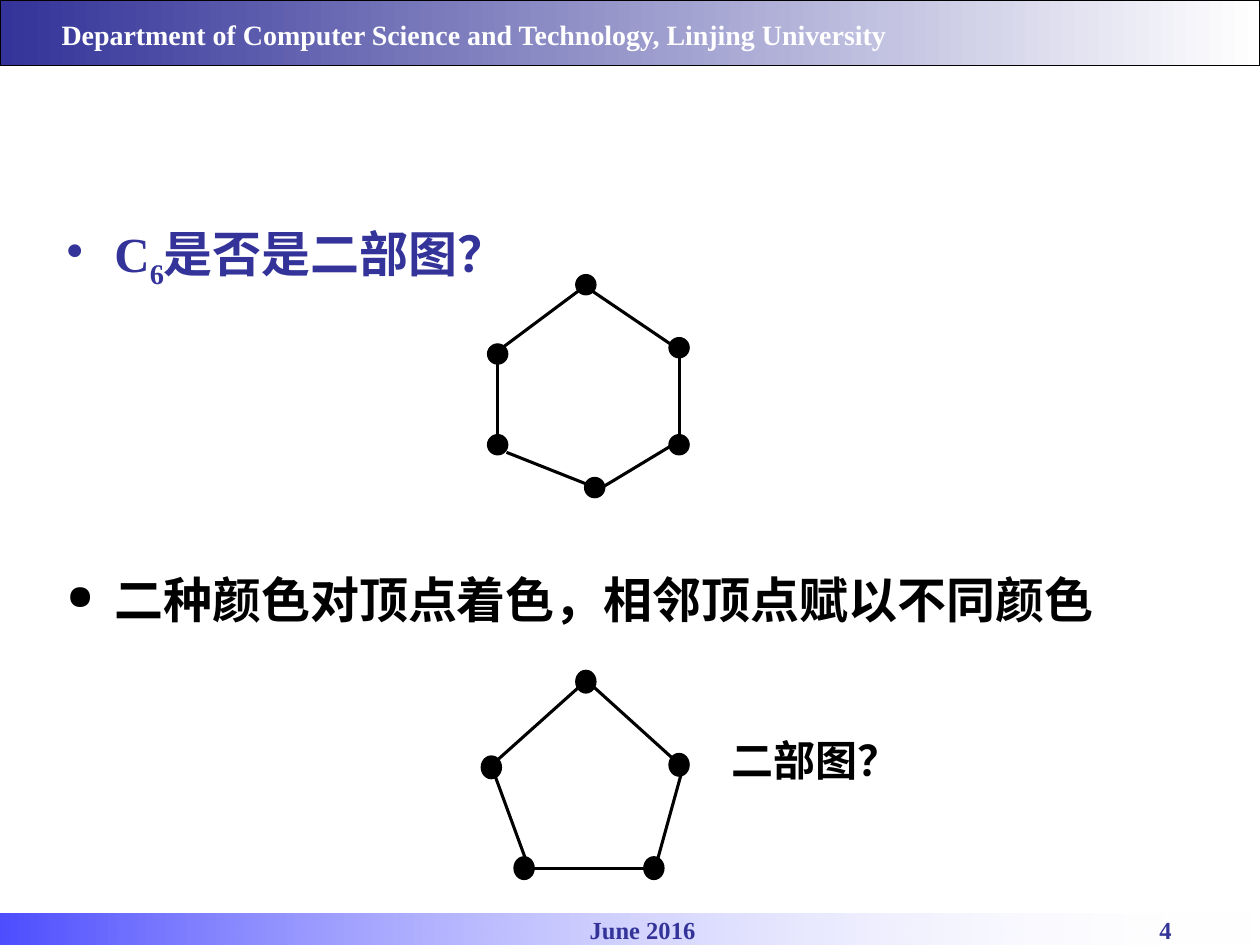
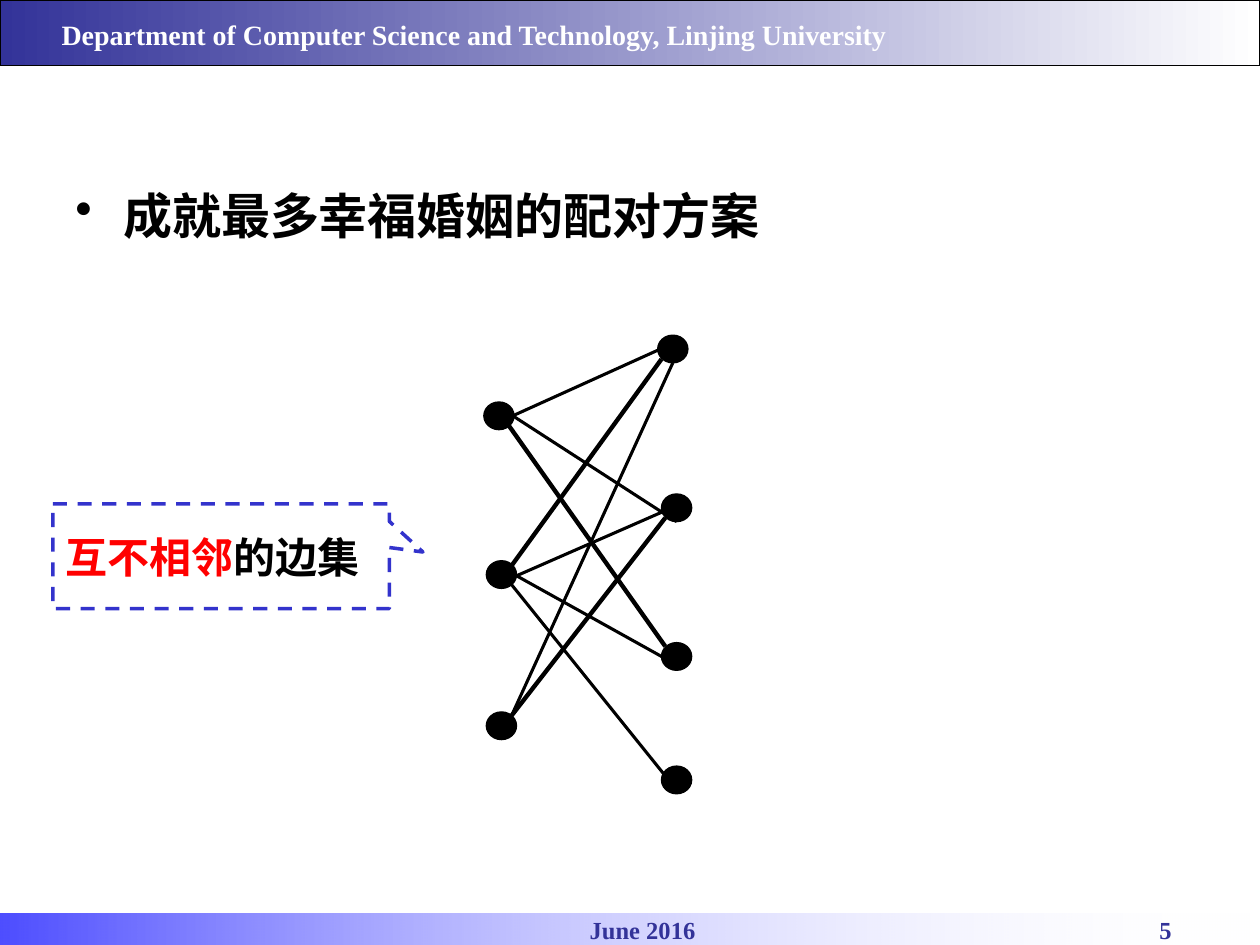
"""Build two slides on bipartite graphs and matchings."""
import pptx
import pptx.dml.color
import pptx.enum.dml
import pptx.enum.shapes
import pptx.enum.text
import pptx.oxml
import pptx.oxml.ns
import pptx.util

Inches = pptx.util.Inches
Pt = pptx.util.Pt
Shape = pptx.enum.shapes.MSO_SHAPE
Align = pptx.enum.text.PP_ALIGN
Anchor = pptx.enum.text.MSO_ANCHOR

FONT = "Times New Roman"
COLOURS = {
    "navy": "333399",
    "blue": "0000FF",
    "callout": "3333CC",
    "red": "FF0000",
    "black": "000000",
    "white": "FFFFFF",
}
THIN, THICK = 1.75, 2.5

HEXAGON_NODES = [(4.65, 2.26), (3.95, 2.81), (3.95, 3.53),
                 (4.72, 3.87), (5.39, 3.53), (5.39, 2.76)]
HEXAGON_EDGES = [((4.02, 3.59), (4.65, 3.84)), ((4, 2.75), (4.59, 2.31)),
                 ((4.7, 2.31), (5.35, 2.75)), ((3.95, 2.82), (3.95, 3.45)),
                 ((5.39, 2.82), (5.39, 3.45)), ((4.76, 3.88), (5.44, 3.47))]
PENTAGON_NODES = [(4.65, 5.41), (3.9, 6.09), (4.16, 6.89),
                  (5.19, 6.89), (5.39, 6.07)]
PENTAGON_EDGES = [((4.24, 6.89), (5.11, 6.89)), ((3.95, 6.03), (4.71, 5.35)),
                  ((4.71, 5.45), (5.34, 6.02)), ((5.2, 6.89), (5.41, 6.13)),
                  ((3.93, 6.16), (4.22, 6.95))]
COUPLE_NODES = [(3.96, 3.3), (3.98, 4.56), (3.98, 5.76),
                (5.34, 2.77), (5.37, 4.03), (5.37, 5.21), (5.37, 6.19)]
POSSIBLE_EDGES = [((5.34, 2.88), (4.06, 5.68)), ((4.1, 4.57), (5.25, 5.21)),
                  ((5.22, 2.78), (4.07, 3.3)), ((5.31, 4.04), (4.1, 4.57)),
                  ((5.29, 6.17), (4.06, 4.64)), ((4.07, 3.3), (5.37, 4.14))]
MATCHED_EDGES = [((5.25, 2.85), (4.06, 4.49)), ((5.28, 4.11), (4.06, 5.68)),
                 ((5.28, 5.13), (4.04, 3.38))]


def rgb(name):
    """Return a named colour."""
    return pptx.dml.color.RGBColor.from_string(COLOURS[name])


def add_span(para, text, size, colour, baseline=0):
    """Add one bold run, lowered when a baseline is given."""
    span = para.add_run()
    span.text = text
    span.font.name = FONT
    span.font.size = Pt(size)
    span.font.bold = True
    span.font.color.rgb = rgb(colour)
    if baseline:
        span.font._element.set("baseline", str(baseline * 1000))


def add_text(page, place, spans, align=Align.LEFT, spacing=1.0):
    """Add a wrapped text box of one paragraph and return the paragraph."""
    box = page.shapes.add_textbox(*map(Inches, place))
    box.text_frame.word_wrap = True
    para = box.text_frame.paragraphs[0]
    para.alignment = align
    para.line_spacing = spacing
    for span in spans:
        add_span(para, *span)
    return para


def add_bullet(page, place, spans, mark="•", scale=100, spacing=1.0):
    """Add a text box with a hanging bullet."""
    para = add_text(page, place, spans, spacing=spacing)
    para.space_before = Pt(5.6)
    properties = para._p.get_or_add_pPr()
    properties.set("marL", str(Inches(0.38)))
    properties.set("indent", str(Inches(-0.38)))
    size = pptx.oxml.parse_xml(
        f'<a:buSzPct {pptx.oxml.ns.nsdecls("a")} val="{scale * 1000}"/>')
    bullet = pptx.oxml.parse_xml(
        f'<a:buChar {pptx.oxml.ns.nsdecls("a")} char="{mark}"/>')
    properties.extend([size, bullet])


def add_band(page, place, start, opacities=None, outlined=False):
    """Add a band fading from a colour on the left to white."""
    band = page.shapes.add_shape(Shape.RECTANGLE, *map(Inches, place))
    band.shadow.inherit = False
    band.fill.gradient()
    band.fill.gradient_angle = 0
    stops = band.fill.gradient_stops
    for stop, colour in zip(stops, (start, "white")):
        stop.color.rgb = rgb(colour)
    if opacities:
        for node, opacity in zip(band._element.spPr.iter(
                pptx.oxml.ns.qn("a:srgbClr")), opacities):
            node.append(pptx.oxml.parse_xml(
                f'<a:alpha {pptx.oxml.ns.nsdecls("a")} val="{opacity * 1000}"/>'))
    if outlined:
        band.line.color.rgb = rgb("black")
        band.line.width = Pt(0.75)
    else:
        band.line.fill.background()


def add_page(deck, number):
    """Add a blank page with the shared header and footer."""
    page = deck.slides.add_slide(deck.slide_layouts[6])
    add_band(page, (0, 0, 10, 0.52), "navy", outlined=True)
    add_band(page, (0, 7.25, 10, 0.25), "blue", opacities=(70, 0))
    for centre, text in ((5.1, "June 2016"), (9.25, str(number))):
        add_text(page, (centre - 0.7, 7.21, 1.4, 0.33),
                 [(text, 14, "navy")], Align.CENTER)
    add_text(page, (0.39, 0.12, 7.08, 0.35),
             [("Department of Computer Science and Technology, "
               "Linjing University", 16, "white")], spacing=0.9)
    return page


def add_nodes(page, centres, width, height):
    """Add a black dot around each centre."""
    for x, y in centres:
        node = page.shapes.add_shape(
            Shape.FLOWCHART_CONNECTOR, Inches(x - width / 2),
            Inches(y - height / 2), Inches(width), Inches(height))
        node.shadow.inherit = False
        node.fill.solid()
        node.fill.fore_color.rgb = rgb("black")
        node.line.color.rgb = rgb("black")
        node.line.width = Pt(0.75)


def add_edges(page, edges, weight=THIN):
    """Add a straight black line for each pair of points."""
    for start, end in edges:
        edge = page.shapes.add_connector(
            pptx.enum.shapes.MSO_CONNECTOR.STRAIGHT,
            *map(Inches, (*start, *end)))
        edge.line.color.rgb = rgb("black")
        edge.line.width = Pt(weight)
        edge._element.spPr.append(pptx.oxml.parse_xml(
            f'<a:effectLst {pptx.oxml.ns.nsdecls("a")}/>'))


def add_callout(page, place, tip, spans):
    """Add a dashed callout pointing at its tip."""
    callout = page.shapes.add_shape(
        Shape.RECTANGULAR_CALLOUT, *map(Inches, place))
    callout.shadow.inherit = False
    callout.adjustments[0], callout.adjustments[1] = tip
    callout.fill.background()
    callout.line.color.rgb = rgb("callout")
    callout.line.width = Pt(2)
    callout.line.dash_style = pptx.enum.dml.MSO_LINE.DASH
    callout.text_frame.vertical_anchor = Anchor.MIDDLE
    para = callout.text_frame.paragraphs[0]
    para.alignment = Align.LEFT
    for span in spans:
        add_span(para, *span)


def build_bipartite_page(deck):
    """Ask whether a hexagon and a pentagon are bipartite."""
    page = add_page(deck, 4)
    add_bullet(page, (0.43, 1.62, 9.29, 0.71),
               [("C", 28, "navy"), ("6", 28, "navy", -25),
                ("是否是二部图？", 28, "navy")], spacing=1.2)
    add_nodes(page, HEXAGON_NODES, 0.16, 0.16)
    add_edges(page, HEXAGON_EDGES)
    add_bullet(page, (0.43, 4.38, 9.29, 0.79),
               [("二种颜色对顶点着色，相邻顶点赋以不同颜色", 28, "black")],
               mark="●", scale=70, spacing=1.2)
    add_nodes(page, PENTAGON_NODES, 0.16, 0.18)
    add_edges(page, PENTAGON_EDGES)
    add_text(page, (5.71, 5.78, 1.65, 0.58), [("二部图？", 24, "black")])


def build_matching_page(deck):
    """Show a matching within the possible couples."""
    page = add_page(deck, 5)
    add_bullet(page, (0.5, 1.42, 9.25, 0.83),
               [("成就最多幸福婚姻的配对方案", 28, "black")])
    add_callout(page, (0.42, 4, 2.67, 0.83), (0.6, -0.04),
                [("互不相邻", 24, "red"), ("的边集", 24, "black")])
    add_edges(page, POSSIBLE_EDGES)
    add_edges(page, MATCHED_EDGES, THICK)
    add_nodes(page, COUPLE_NODES, 0.24, 0.22)


def main():
    """Build and save the deck."""
    deck = pptx.Presentation()
    deck.slide_width, deck.slide_height = Inches(10), Inches(7.5)
    build_bipartite_page(deck)
    build_matching_page(deck)
    deck.save("out.pptx")


main()
